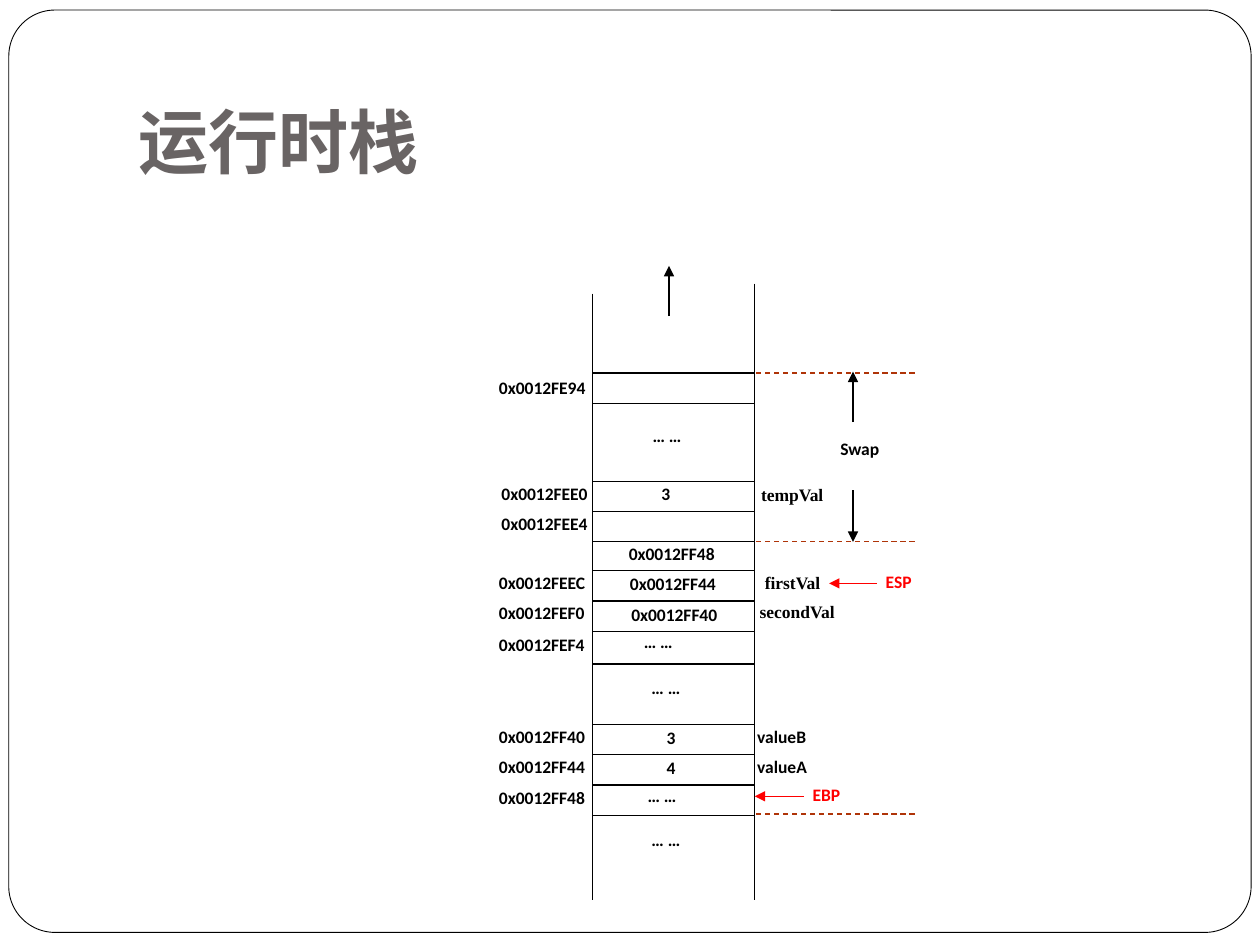
from dataclasses import dataclass

from lxml.etree import SubElement
from pptx import Presentation
from pptx.dml.color import RGBColor
from pptx.enum.dml import MSO_LINE
from pptx.enum.shapes import MSO_CONNECTOR, MSO_SHAPE
from pptx.enum.text import MSO_ANCHOR, MSO_AUTO_SIZE, PP_ALIGN
from pptx.oxml.ns import qn
from pptx.util import Emu, Pt

PX = 9144


@dataclass(frozen=True)
class Theme:
    """Colours, fonts, type sizes and line widths."""
    ink: str = "000000"
    paper: str = "FFFFFF"
    heading: str = "696464"
    register: str = "FF0000"
    boundary: str = "AF3408"
    title_font: str = "Cabin"
    body_font: str = "Calibri"
    name_font: str = "Times New Roman"
    title_size: int = 40
    body_size: int = 10
    frame_width: float = 0.5
    line_width: float = 0.75


class StackSlide:
    """Draws the elements of a stack diagram on one slide."""

    def __init__(self, prs, theme):
        self.theme = theme
        self.s = prs.slides.add_slide(prs.slide_layouts[5])

    def px(self, *lengths):
        return [Emu(n * PX) for n in lengths]

    def fill_text(self, tf, text, font, size, color, align, insets):
        tf.margin_left, tf.margin_top, tf.margin_right, tf.margin_bottom = self.px(*insets)
        tf.word_wrap = True
        tf.auto_size = MSO_AUTO_SIZE.NONE
        p = tf.paragraphs[0]
        p.alignment = align
        r = p.add_run()
        r.text = text
        r.font.name, r.font.size, r.font.bold = font, Pt(size), True
        r.font.color.rgb = RGBColor.from_string(color)

    def title(self, text, x, y, w, h):
        sp = self.s.shapes.title
        sp.left, sp.top, sp.width, sp.height = self.px(x, y, w, h)
        sp.text_frame.vertical_anchor = MSO_ANCHOR.BOTTOM
        t = self.theme
        self.fill_text(sp.text_frame, text, t.title_font, t.title_size, t.heading,
                       PP_ALIGN.LEFT, (10, 5, 10, 10))

    def frame(self, x, y, w, h, rounding):
        sp = self.s.shapes.add_shape(MSO_SHAPE.ROUNDED_RECTANGLE, *self.px(x, y, w, h))
        sp.adjustments[0] = rounding
        sp.shadow.inherit = False
        sp.fill.solid()
        sp.fill.fore_color.rgb = RGBColor.from_string(self.theme.paper)
        sp.line.color.rgb = RGBColor.from_string(self.theme.ink)
        sp.line.width = Pt(self.theme.frame_width)
        self.s.shapes.title.element.addprevious(sp.element)

    def label(self, text, x, y, w, h=25, font=None, color=None):
        sp = self.s.shapes.add_textbox(*self.px(x, y, w, h))
        t = self.theme
        self.fill_text(sp.text_frame, text, font or t.body_font, t.body_size,
                       color or t.ink, PP_ALIGN.JUSTIFY, (2, 1, 2, 1))

    def line(self, x1, y1, x2, y2, color=None, dashed=False, arrow=False):
        cx = self.s.shapes.add_connector(MSO_CONNECTOR.STRAIGHT, *self.px(x1, y1, x2, y2))
        cx.line.color.rgb = RGBColor.from_string(color or self.theme.ink)
        cx.line.width = Pt(self.theme.line_width)
        if dashed:
            cx.line.dash_style = MSO_LINE.DASH
        props = cx.element.spPr
        if arrow:
            SubElement(props.find(qn("a:ln")), qn("a:tailEnd"), type="triangle")
        SubElement(props, qn("a:effectLst"))


LEFT, RIGHT = 470, 599
ROW_TOPS = (296, 320, 382, 406, 430, 453, 477, 501, 527, 575, 599, 623, 647)
ADDRESSES = (
    ("0x0012FE94", 394, 298), ("0x0012FEE0", 396, 382), ("0x0012FEE4", 396, 406),
    ("0x0012FEEC", 394, 453), ("0x0012FEF0", 394, 477), ("0x0012FEF4", 394, 502),
    ("0x0012FF40", 394, 575), ("0x0012FF44", 394, 599), ("0x0012FF48", 394, 624),
)
VALUES = (
    ("3", 523, 382, 16), ("0x0012FF48", 497, 430, 89), ("0x0012FF44", 498, 454, 80),
    ("0x0012FF40", 499, 478, 81), ("3", 527, 576, 19), ("4", 527, 600, 16),
)
GAPS = ((516, 336), (509, 500), (515, 536), (512, 622), (515, 657))
PARAMETERS = (("tempVal", 602, 383), ("firstVal", 605, 453), ("secondVal", 601, 476))
CALLER_LABELS = (("valueB", 599, 575), ("valueA", 599, 599), ("Swap", 665, 347))
REGISTERS = (("ESP", 701, 452, 658), ("EBP", 643, 621, 599))
ARROWS = ((531, 251, 211), (677, 335, 295), (677, 389, 430))
BOUNDARIES = (296, 430, 646)


def main():
    theme = Theme()
    prs = Presentation()
    prs.slide_width, prs.slide_height = Emu(1000 * PX), Emu(750 * PX)
    stack = StackSlide(prs, theme)
    stack.frame(7, 8, 986, 732, 0.05)
    stack.title("运行时栈", 100, 30, 850, 125)

    stack.line(LEFT, 233, LEFT, 714)
    stack.line(RIGHT, 225, RIGHT, 714)
    for y in ROW_TOPS:
        stack.line(LEFT, y, RIGHT, y)
    for y in BOUNDARIES:
        stack.line(600, y, 728, y, theme.boundary, dashed=True)
    for x, start, end in ARROWS:
        stack.line(x, start, x, end, arrow=True)

    for text, x, y in ADDRESSES:
        stack.label(text, x, y, 81, 24)
    for text, x, y, w in VALUES:
        stack.label(text, x, y, w)
    for x, y in GAPS:
        stack.label("… …", x, y, 48)
    for text, x, y in PARAMETERS:
        stack.label(text, x, y, 73, 26, theme.name_font)
    for text, x, y in CALLER_LABELS:
        stack.label(text, x, y, 53)
    for text, x, y, tip in REGISTERS:
        stack.label(text, x, y, 30, color=theme.register)
        stack.line(x - 5, y + 11, tip, y + 11, theme.register, arrow=True)

    prs.save("out.pptx")


if __name__ == "__main__":
    main()
